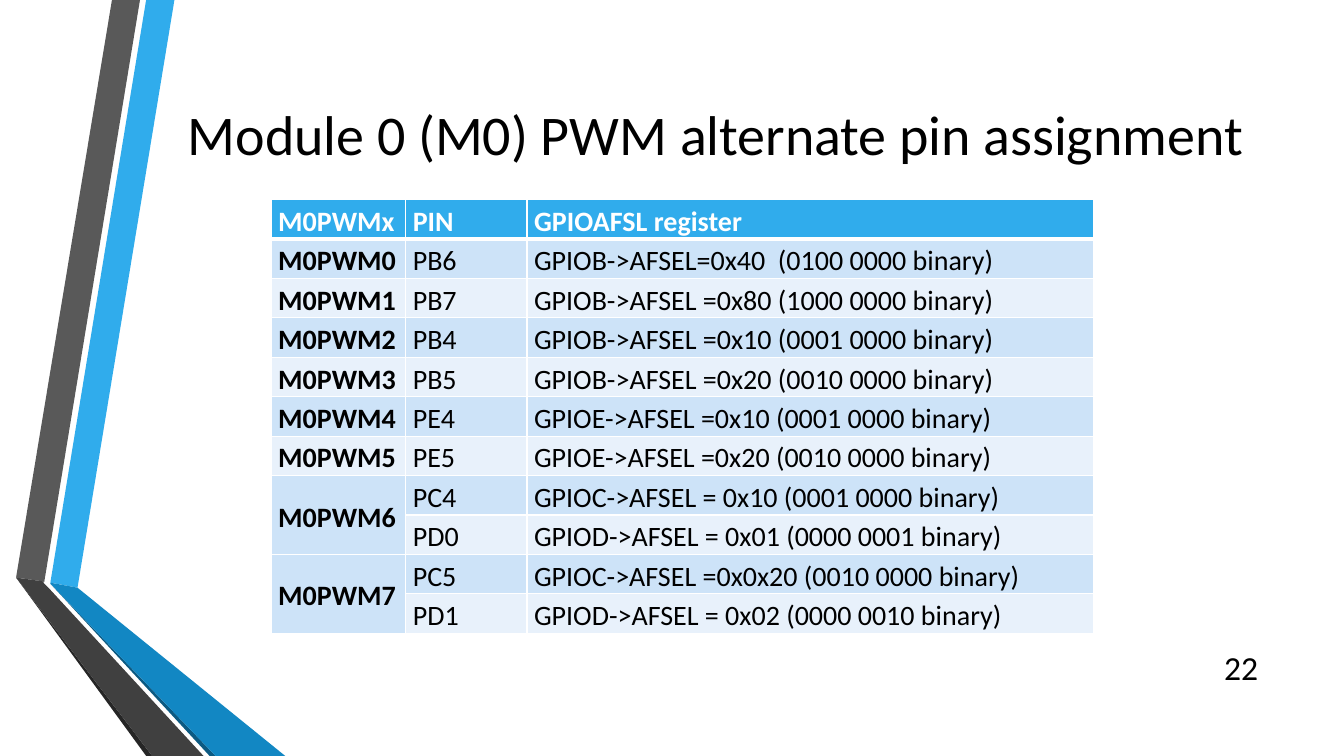
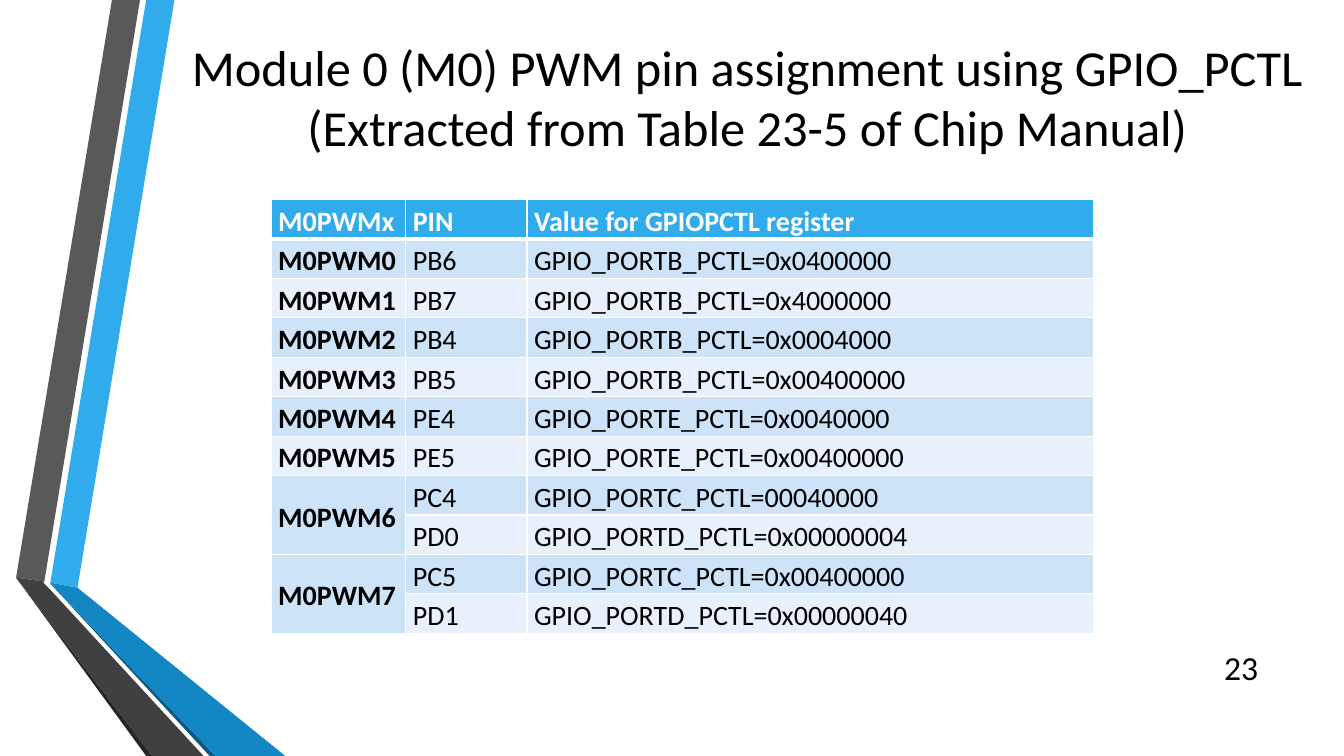
from dataclasses import dataclass

from lxml import etree
from pptx import Presentation
from pptx import util as u
from pptx.dml.color import RGBColor
from pptx.enum import text
from pptx.oxml.ns import qn

Pt = u.Pt
FONT = "Calibri"
COLORS = {
    "black": "000000", "white": "FFFFFF",
    "sky": "30ACEC", "blue": "1287C3", "navy": "0C5A82",
    "grey": "595959", "charcoal": "404040", "coal": "262626",
    "band_dark": "CDE3F8", "band_light": "E8F1FB",
}


@dataclass(frozen=True)
class Ribbon:
    color: str
    points: tuple


@dataclass(frozen=True)
class PinSlide:
    number: int
    title: str
    title_box: tuple  # left, top, width, height
    title_size: int
    register_head: str
    registers: tuple


RIBBONS = (
    Ribbon("sky", ((36, 416.2), (55.4, 419.8), (124.6, 0), (104.4, 0))),
    Ribbon("grey", ((100, 0), (80, 0), (11.5, 412.6), (31.7, 415.4))),
    Ribbon("coal", ((11.5, 412.6), (104.4, 540), (108.7, 540))),
    Ribbon("navy", ((36, 416.9), (149.8, 540), (154.1, 540))),
    Ribbon("blue", ((36, 416.9), (154.1, 540), (203.8, 540),
                    (55.4, 419.8), (36, 416.2))),
    Ribbon("charcoal", ((145.4, 540), (34.6, 419.8), (31, 416.2),
                        (31.7, 415.4), (11.5, 412.6), (108.7, 540))),
)

# Table content and grid shared by both slides
PINS = ("PB6", "PB7", "PB4", "PB5", "PE4", "PE5", "PC4", "PD0", "PC5", "PD1")
OUTPUTS = {1: "M0PWM0", 2: "M0PWM1", 3: "M0PWM2", 4: "M0PWM3",
           5: "M0PWM4", 6: "M0PWM5", 7: "M0PWM6", 9: "M0PWM7"}
MERGED_ROWS = (7, 9)
COLUMN_WIDTHS = (96.2, 86.6, 404.8)
ROW_HEIGHT = 28.15
TABLE_LEFT, TABLE_TOP = 193.7, 142.6

SLIDES = (
    PinSlide(
        22, "Module 0 (M0) PWM alternate pin assignment",
        (116.6, 26, 789, 138), 40, "GPIOAFSL register",
        ("GPIOB->AFSEL=0x40  (0100 0000 binary)",
         "GPIOB->AFSEL =0x80 (1000 0000 binary)",
         "GPIOB->AFSEL =0x10 (0001 0000 binary)",
         "GPIOB->AFSEL =0x20 (0010 0000 binary)",
         "GPIOE->AFSEL =0x10 (0001 0000 binary)",
         "GPIOE->AFSEL =0x20 (0010 0000 binary)",
         "GPIOC->AFSEL = 0x10 (0001 0000 binary)",
         "GPIOD->AFSEL = 0x01 (0000 0001 binary)",
         "GPIOC->AFSEL =0x0x20 (0010 0000 binary)",
         "GPIOD->AFSEL = 0x02 (0000 0010 binary)")),
    PinSlide(
        23, "Module 0 (M0) PWM pin assignment using GPIO_PCTL "
            "(Extracted from Table 23-5 of Chip Manual)",
        (108, 0, 852, 138), 36, "Value for GPIOPCTL register",
        ("GPIO_PORTB_PCTL=0x0400000", "GPIO_PORTB_PCTL=0x4000000",
         "GPIO_PORTB_PCTL=0x0004000", "GPIO_PORTB_PCTL=0x00400000",
         "GPIO_PORTE_PCTL=0x0040000", "GPIO_PORTE_PCTL=0x00400000",
         "GPIO_PORTC_PCTL=00040000", "GPIO_PORTD_PCTL=0x00000004",
         "GPIO_PORTC_PCTL=0x00400000", "GPIO_PORTD_PCTL=0x00000040")),
)


def rgb(name: str) -> RGBColor:
    return RGBColor.from_string(COLORS[name])


def write(tf, words: str, *, size: float, color: str = "black",
          bold: bool = False, align=text.PP_ALIGN.LEFT, spacing: float = 1.0,
          anchor=text.MSO_ANCHOR.MIDDLE) -> None:
    tf.word_wrap = True
    tf.vertical_anchor = anchor
    p = tf.paragraphs[0]
    p.alignment, p.line_spacing = align, spacing
    r = p.add_run()
    r.text = words
    r.font.name, r.font.size, r.font.bold = FONT, Pt(size), bold
    r.font.color.rgb = rgb(color)


def add_ribbons(slide, layout) -> None:
    """Draw the ribbons as one group and hand it to the shared layout."""
    group = slide.shapes.add_group_shape()
    for ribbon in RIBBONS:
        start, *rest = [(Pt(x), Pt(y)) for x, y in ribbon.points]
        builder = group.shapes.build_freeform(*start, scale=1.0)
        builder.add_line_segments(rest, close=True)
        sp = builder.convert_to_shape()
        sp.shadow.inherit = False
        sp.fill.solid()
        sp.fill.fore_color.rgb = rgb(ribbon.color)
        sp.line.fill.background()
    layout.shapes.element.insert(2, group.element)
    for number, props in enumerate(layout.element.iter(qn("p:cNvPr")), 1):
        props.set("id", str(number))


def set_borders(cell, top: float, bottom: float) -> None:
    tc_pr = cell._tc.get_or_add_tcPr()
    for side, width in (("L", 1), ("R", 1), ("T", top), ("B", bottom)):
        ln = etree.SubElement(tc_pr, qn(f"a:ln{side}"), w=str(Pt(width)))
        fill = etree.SubElement(ln, qn("a:solidFill"))
        etree.SubElement(fill, qn("a:srgbClr"), val=COLORS["white"])


def add_pin_table(slide, data: PinSlide) -> None:
    rows = [("M0PWMx", "PIN", data.register_head)]
    rows += [(OUTPUTS.get(i, ""), pin, register) for i, (pin, register)
             in enumerate(zip(PINS, data.registers), 1)]
    table = slide.shapes.add_table(
        len(rows), len(COLUMN_WIDTHS), Pt(TABLE_LEFT), Pt(TABLE_TOP),
        Pt(sum(COLUMN_WIDTHS)), Pt(ROW_HEIGHT * len(rows))).table
    table.horz_banding = False
    for column, width in zip(table.columns, COLUMN_WIDTHS):
        column.width = Pt(width)
    for i, row in enumerate(rows):
        table.rows[i].height = Pt(ROW_HEIGHT)
        fill = "sky" if i == 0 else "band_dark" if i % 2 else "band_light"
        for j, words in enumerate(row):
            cell = table.cell(i, j)
            cell.margin_left = cell.margin_right = Pt(5)
            cell.margin_top = cell.margin_bottom = 0
            set_borders(cell, top=3 if i == 1 else 1, bottom=3 if i == 0 else 1)
            cell.fill.solid()
            cell.fill.fore_color.rgb = rgb(fill)
            if not words:
                continue
            merged = j == 0 and i in MERGED_ROWS
            anchor = text.MSO_ANCHOR.MIDDLE if merged else text.MSO_ANCHOR.TOP
            write(cell.text_frame, words, size=20, spacing=1.15,
                  color="white" if i == 0 else "black", bold=i == 0 or j == 0)
            cell.vertical_anchor = anchor
    for i in MERGED_ROWS:
        table.cell(i, 0).merge(table.cell(i + 1, 0))


def add_pin_slide(prs, layout, data: PinSlide):
    slide = prs.slides.add_slide(layout)
    # Title
    title = slide.shapes.title
    title.left, title.top, title.width, title.height = map(Pt, data.title_box)
    title.text_frame.auto_size = text.MSO_AUTO_SIZE.NONE
    write(title.text_frame, data.title, size=data.title_size,
          align=text.PP_ALIGN.CENTER)
    # Slide number
    box = slide.shapes.add_textbox(Pt(862.6), Pt(462.2), Pt(43.2), Pt(28.8))
    write(box.text_frame, str(data.number), size=24, align=text.PP_ALIGN.RIGHT)
    add_pin_table(slide, data)
    return slide


def main() -> None:
    prs = Presentation()
    prs.slide_width, prs.slide_height = Pt(960), Pt(540)
    layout = prs.slide_layouts.get_by_name("Title Only")
    slides = [add_pin_slide(prs, layout, data) for data in SLIDES]
    add_ribbons(slides[0], layout)
    prs.save("out.pptx")


if __name__ == "__main__":
    main()
